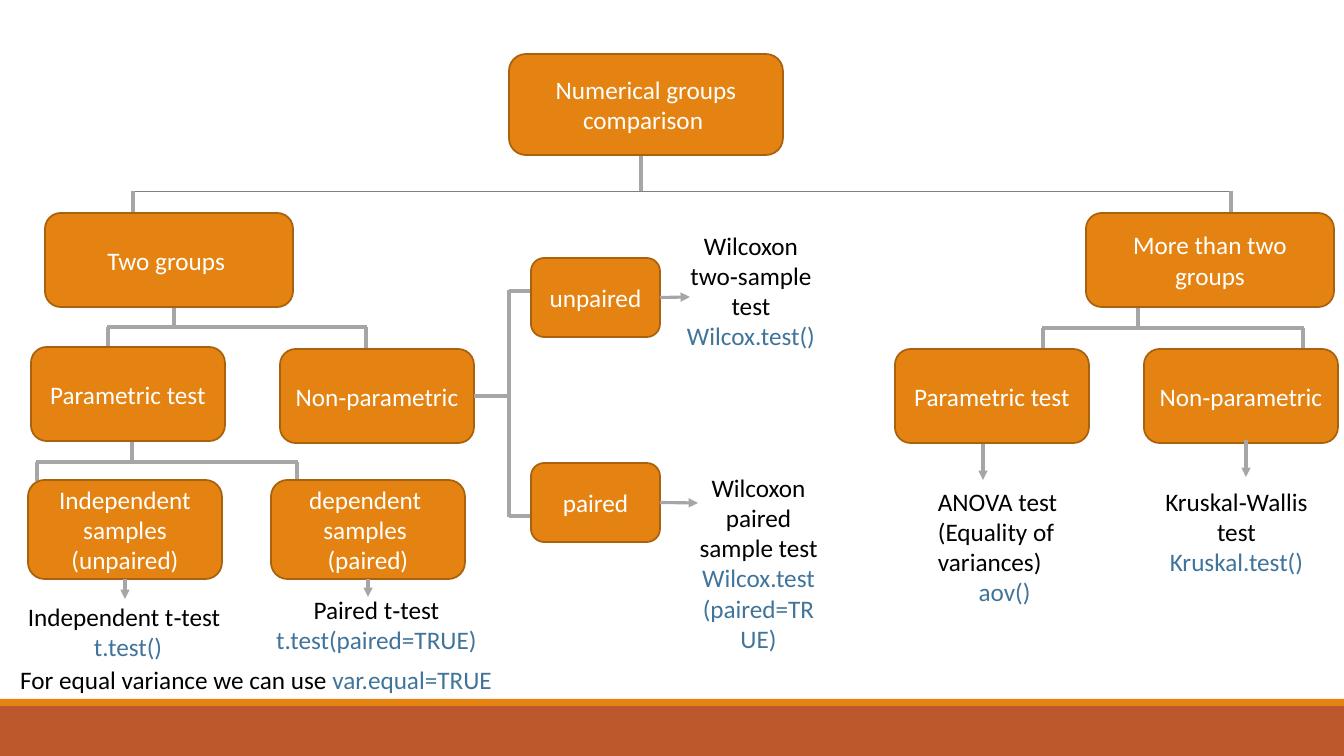
from pptx import Presentation
from pptx.dml.color import RGBColor
from pptx.enum.shapes import MSO_CONNECTOR, MSO_SHAPE
from pptx.enum.text import MSO_ANCHOR, MSO_AUTO_SIZE, PP_ALIGN
from pptx.oxml.ns import qn
from pptx.util import Pt
from lxml.etree import SubElement

PX = 914400 / 100.8
WIDE, HIGH = 1344, 756
ORANGE = RGBColor(0xE4, 0x83, 0x12)
BROWN = RGBColor(0xA9, 0x61, 0x0D)
RUST = RGBColor(0xBD, 0x58, 0x2C)
GREY = RGBColor(0xA6, 0xA6, 0xA6)
DARK = RGBColor(0x80, 0x80, 0x80)
BLUE = RGBColor(0x40, 0x74, 0x9B)
BLACK = RGBColor(0, 0, 0)
WHITE = RGBColor(255, 255, 255)
LEFT, MID = PP_ALIGN.LEFT, PP_ALIGN.CENTER
BOTTOM, RIGHT = 2, 3

BANDS = [(706, 50, RUST), (699, 7, ORANGE)]

SIZES = {"root": (274, 101), "group": (248, 94), "test": (194, 94),
         "sample": (194, 99), "pair": (129, 79)}
BOXES = {
    "root": ("root", 509, 54, "Numerical groups comparison "),
    "two": ("group", 45, 213, "Two groups "),
    "more": ("group", 1086, 213, "More than two groups"),
    "two param": ("test", 31, 347, "Parametric test"),
    "two rank": ("test", 280, 349, "Non‐parametric"),
    "more param": ("test", 895, 349, "Parametric test"),
    "more rank": ("test", 1144, 349, "Non‐parametric"),
    "indep": ("sample", 28, 480, "Independent samples (unpaired)"),
    "dep": ("sample", 271, 480, "dependent \nsamples \n(paired)"),
    "unpaired": ("pair", 531, 258, "unpaired"),
    "paired": ("pair", 531, 463, "paired"),
}

# trunk x, trunk top, bar y, left x, right x, foot y, bar colour, bar weight
FORKS = [
    (641, 156, 191, 133, 1231, 226, DARK, 0.5),
    (174, 307, 327, 108, 366, 348, GREY, 2.25),
    (1138, 308, 328, 1043, 1303, 349, GREY, 2.25),
    (132, 442, 462, 37, 297, 481, GREY, 2.25),
]
SPINE, TIP, RUNGS = 509, 583, (291, 516)

LINKS = [
    ("two rank", RIGHT, 509, 396, False),
    ("unpaired", RIGHT, 690, 297, True),
    ("paired", RIGHT, 698, 503, True),
    ("indep", BOTTOM, 125, 599, True),
    ("dep", BOTTOM, 368, 597, True),
]
DROPS = [(983, 444, 480), (1246, 440, 477)]

NOTES = [
    (928, 481, 153, 132, LEFT, "ANOVA test (Equality of variances)", "aov()"),
    (1148, 481, 177, 102, MID, "Kruskal‐Wallis test", "Kruskal.test()"),
    (676, 225, 150, 132, MID, "Wilcoxon two‐sample test", "Wilcox.test()"),
    (689, 467, 139, 224, MID, "Wilcoxon paired sample test",
     "Wilcox.test(paired=TRUE)"),
    (18, 596, 220, 72, LEFT, "Independent t‐test", "t.test()"),
    (262, 589, 229, 72, MID, "Paired t‐test", "t.test(paired=TRUE)"),
]
FOOT = (0, 659, 512, 40)
FOOT_RUNS = ("For equal variance we can use ", "var.equal=TRUE")


def px(*nums):
    return [round(n * PX) for n in nums]


def write(frame, text, tone=BLACK, align=MID, fresh=False):
    para = frame.add_paragraph() if fresh else frame.paragraphs[-1]
    para.alignment = align
    for i, part in enumerate(text.split("\n")):
        if i:
            para.add_line_break()
        run = para.add_run()
        run.text = part
        run.font.name = "Calibri"
        run.font.size = Pt(18)
        run.font.color.rgb = tone


def block(shapes, kind, area, fill, edge=None):
    shape = shapes.add_shape(kind, *px(*area))
    shape.shadow.inherit = False
    shape.fill.solid()
    shape.fill.fore_color.rgb = fill
    if edge:
        shape.line.color.rgb = edge
        shape.line.width = Pt(1.25)
    else:
        shape.line.fill.background()
    return shape


def line(shapes, x1, y1, x2, y2, tone=GREY, weight=2.25, arrow=False):
    link = shapes.add_connector(MSO_CONNECTOR.STRAIGHT, *px(x1, y1, x2, y2))
    link.line.color.rgb = tone
    link.line.width = Pt(weight)
    props = link._element.spPr
    if arrow:
        SubElement(props.find(qn("a:ln")), qn("a:tailEnd"), type="triangle")
    SubElement(props, qn("a:effectLst"))
    return link


def label(shapes, area):
    box = shapes.add_textbox(*px(*area))
    frame = box.text_frame
    frame.word_wrap = True
    frame.auto_size = MSO_AUTO_SIZE.SHAPE_TO_FIT_TEXT
    return frame


def main():
    deck = Presentation()
    deck.slide_width, deck.slide_height = px(WIDE, HIGH)
    shapes = deck.slides.add_slide(deck.slide_layouts[6]).shapes

    for top, high, fill in BANDS:
        block(shapes, MSO_SHAPE.RECTANGLE, (0, top, WIDE, high), fill)

    for trunk, top, bar, left, right, foot, tone, weight in FORKS:
        line(shapes, trunk, top, trunk, bar)
        line(shapes, left - 1, bar, right + 1, bar, tone, weight)
        for x in (left, right):
            line(shapes, x, bar, x, foot)
    line(shapes, SPINE, RUNGS[0] - 1, SPINE, RUNGS[1] + 1)
    for y in RUNGS:
        line(shapes, SPINE, y, TIP, y)

    nodes = {}
    for name, (size, x, y, text) in BOXES.items():
        node = block(shapes, MSO_SHAPE.ROUNDED_RECTANGLE,
                     (x, y, *SIZES[size]), ORANGE, BROWN)
        node.text_frame.word_wrap = True
        node.text_frame.vertical_anchor = MSO_ANCHOR.MIDDLE
        write(node.text_frame, text, tone=WHITE)
        nodes[name] = node

    for name, side, x, y, arrow in LINKS:
        link = line(shapes, x, y, x, y, arrow=arrow)
        link.begin_connect(nodes[name], side)
    for x, top, end in DROPS:
        line(shapes, x, top, x, end, arrow=True)

    for x, y, wide, high, align, title, code in NOTES:
        frame = label(shapes, (x, y, wide, high))
        write(frame, title, align=align)
        write(frame, code, tone=BLUE, fresh=True)
    frame = label(shapes, FOOT)
    for text, tone in zip(FOOT_RUNS, (BLACK, BLUE)):
        write(frame, text, tone=tone)

    deck.save("out.pptx")


if __name__ == "__main__":
    main()
